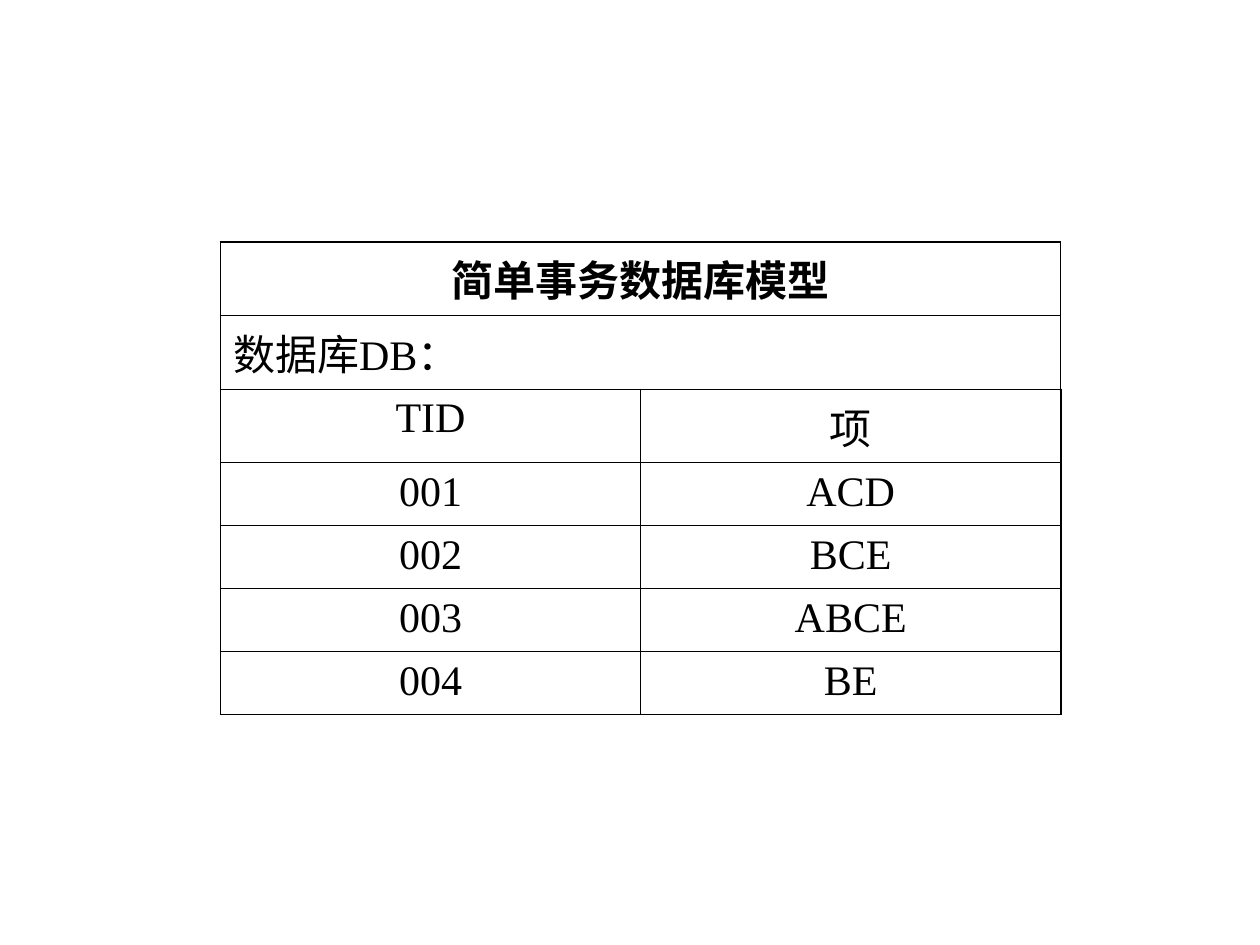
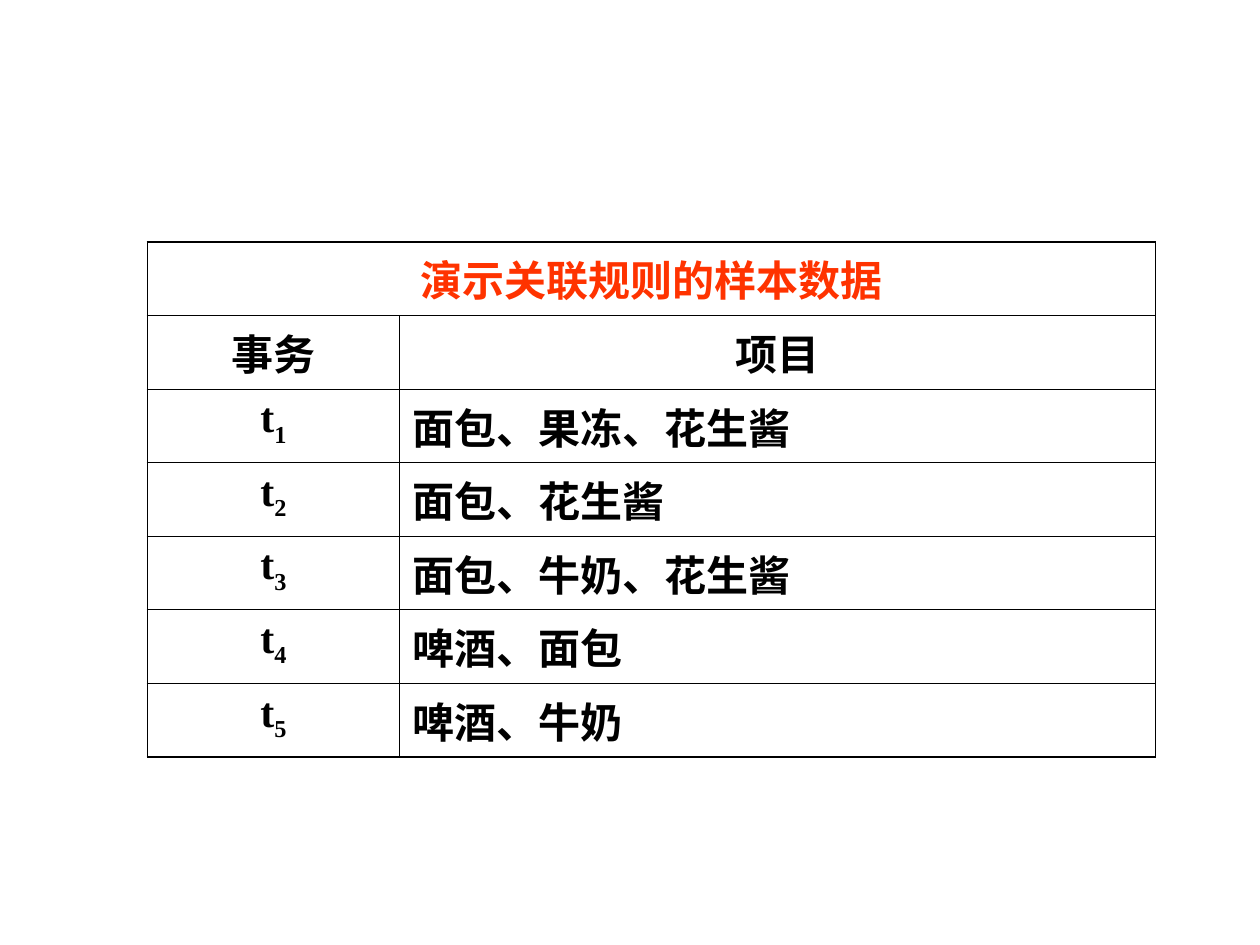
from lxml import etree
from pptx import Presentation
from pptx.dml.color import RGBColor
from pptx.enum import text
from pptx.oxml import ns
from pptx.util import Inches, Pt

# Shared look
BLACK, WHITE, ORANGE_RED = "000000", "FFFFFF", "FF3300"
LATIN, CJK = "Times New Roman", "Noto Sans CJK SC"
TEXT_SIZE = 24
OUTER, INNER = 1.08, 0.45
LEFT, CENTER = text.PP_ALIGN.LEFT, text.PP_ALIGN.CENTER


def rgb(value):
    return RGBColor.from_string(value)


def add_span(para, words, bold=False, color=BLACK, latin=LATIN, subscript=False):
    span = para.add_run()
    span.text = words
    font = span.font
    font.size, font.bold = Pt(TEXT_SIZE), bold
    font.color.rgb = rgb(color)
    font.name = latin
    properties = span._r.get_or_add_rPr()
    etree.SubElement(properties, ns.qn("a:ea"), typeface=CJK)
    if subscript:
        properties.set("baseline", "-25000")


def set_borders(cell, widths):
    """Draw the left, right, top and bottom lines of a cell."""
    properties = cell._tc.get_or_add_tcPr()
    for side, width in zip("LRTB", widths):
        line = etree.SubElement(properties, ns.qn(f"a:ln{side}"), w=str(Pt(width)))
        fill = etree.SubElement(line, ns.qn("a:solidFill"))
        etree.SubElement(fill, ns.qn("a:srgbClr"), val=BLACK)


def add_grid(page, box, column_widths, row_heights, full_rows):
    """Add a plain ruled table whose first full_rows rows span all columns."""
    rows, columns = len(row_heights), len(column_widths)
    frame = page.shapes.add_table(rows, columns, *(Inches(n) for n in box))
    table = frame.table
    table.first_row = table.horz_banding = False
    for column, width in zip(table.columns, column_widths):
        column.width = Inches(width)
    for row, height in zip(table.rows, row_heights):
        row.height = Inches(height)
    for r in range(rows):
        for c in range(columns):
            cell = table.cell(r, c)
            edges = (c == 0, c == columns - 1, r == 0, r == rows - 1)
            set_borders(cell, [OUTER if edge else INNER for edge in edges])
            cell.fill.solid()
            cell.fill.fore_color.rgb = rgb(WHITE)
    for r in range(full_rows):
        table.cell(r, 0).merge(table.cell(r, columns - 1))
    return table


def aligned_para(table, row, column, align=CENTER):
    para = table.cell(row, column).text_frame.paragraphs[0]
    para.alignment = align
    return para


def build_database_model(page, box):
    width = box[2]
    table = add_grid(page, box, [width / 2] * 2, [0.5] * 7, full_rows=2)
    # Heading rows
    add_span(aligned_para(table, 0, 0), "简单事务数据库模型", bold=True, latin=CJK)
    add_span(aligned_para(table, 1, 0, LEFT), "数据库DB：")
    # Transactions
    records = [("TID", "项"), ("001", "ACD"), ("002", "BCE"),
               ("003", "ABCE"), ("004", "BE")]
    for row, record in enumerate(records, start=2):
        for column, words in enumerate(record):
            add_span(aligned_para(table, row, column), words)


def build_sample_data(page, box):
    width = box[2]
    heights = [0.5] * 2 + [0.56] * 5
    table = add_grid(page, box, [width / 4, width * 3 / 4], heights, full_rows=1)
    # Heading rows
    add_span(aligned_para(table, 0, 0), "演示关联规则的样本数据",
             bold=True, color=ORANGE_RED)
    for column, words in enumerate(("事务", "项目")):
        add_span(aligned_para(table, 1, column), words, bold=True)
    # Numbered transactions
    baskets = ["面包、果冻、花生酱", "面包、花生酱", "面包、牛奶、花生酱",
               "啤酒、面包", "啤酒、牛奶"]
    for number, basket in enumerate(baskets, start=1):
        para = aligned_para(table, number + 1, 0)
        add_span(para, "t", bold=True)
        add_span(para, str(number), bold=True, subscript=True)
        add_span(aligned_para(table, number + 1, 1, LEFT), basket, bold=True)


def main():
    deck = Presentation()
    deck.slide_width, deck.slide_height = Inches(10), Inches(7.5)
    blank = deck.slide_layouts[6]
    build_database_model(deck.slides.add_slide(blank), (1.75, 1.92, 6.67, 3.5))
    build_sample_data(deck.slides.add_slide(blank), (1.17, 1.92, 8, 3.8))
    deck.save("out.pptx")


if __name__ == "__main__":
    main()
